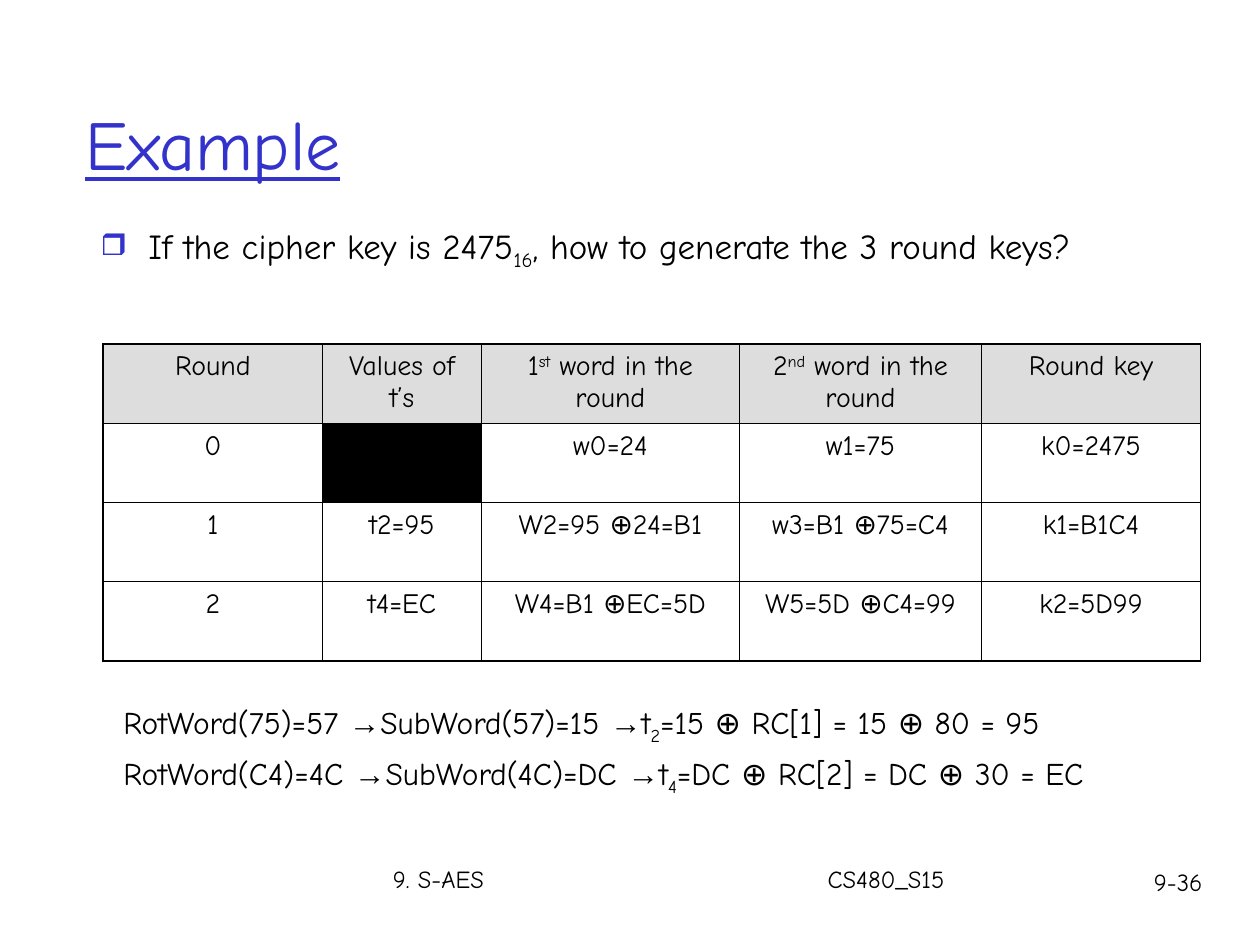
from typing import NamedTuple

import pptx
import pptx.dml.color
import pptx.enum.text
import pptx.oxml
import pptx.oxml.ns
import pptx.util
from pptx.util import Inches

FONT = "Comic Neue"
BLACK, BLUE, GREY = "000000", "3333CC", "DDDDDD"
THICK, THIN = 1.08, 0.45


class Span(NamedTuple):
    text: str
    baseline: int = 0
    font: str = FONT


class TextBox(NamedTuple):
    left: float
    top: float
    width: float
    height: float


ARROW = Span("→", font="Arial")


def color(value: str) -> pptx.dml.color.RGBColor:
    return pptx.dml.color.RGBColor.from_string(value)


def element(xml: str):
    """Parse a DrawingML snippet whose root is written without a namespace."""
    return pptx.oxml.parse_xml(xml.replace(">", f' {pptx.oxml.ns.nsdecls("a")}>', 1)
                               if "/>" not in xml.split(">")[0] + ">"
                               else xml.replace("/>", f' {pptx.oxml.ns.nsdecls("a")}/>', 1))


def write(paragraph, spans, *, size: float, ink: str = BLACK, underline: bool = False,
          centered: bool = False, space_before: float = 0, bullet: str = "",
          tab: float = 0) -> None:
    """Fill a paragraph with a string or a list of strings and spans."""
    properties = paragraph._p.get_or_add_pPr()
    if space_before:
        paragraph.space_before = pptx.util.Pt(space_before)
    if centered:
        paragraph.alignment = pptx.enum.text.PP_ALIGN.CENTER
    if bullet:
        indent = Inches(0.38)
        properties.set("marL", str(indent))
        properties.set("indent", str(-indent))
        for xml in (f'<a:buClr><a:srgbClr val="{BLUE}"/></a:buClr>',
                    '<a:buSzPct val="85000"/>', f'<a:buChar char="{bullet}"/>'):
            properties.append(element(xml))
    if tab:
        properties.append(element(
            f'<a:tabLst><a:tab pos="{Inches(tab)}" algn="l"/></a:tabLst>'))
    for item in [spans] if isinstance(spans, str) else spans:
        span = Span(item) if isinstance(item, str) else item
        run = paragraph.add_run()
        run.text = span.text
        run.font.name = span.font
        run.font.size = pptx.util.Pt(size)
        run.font.color.rgb = color(ink)
        if underline:
            run.font.underline = True
        if span.baseline:
            run._r.get_or_add_rPr().set("baseline", str(span.baseline * 1000))


def add_text(slide, box: TextBox, *lines, middle: bool = False,
             space_before: float = 0, **text_format) -> None:
    shape = slide.shapes.add_textbox(*map(Inches, box))
    frame = shape.text_frame
    frame.word_wrap = True
    if middle:
        frame.vertical_anchor = pptx.enum.text.MSO_ANCHOR.MIDDLE
    for index, spans in enumerate(lines):
        paragraph = frame.add_paragraph() if index else frame.paragraphs[0]
        write(paragraph, spans, space_before=space_before if index else 0, **text_format)


def set_borders(cell, widths: dict[str, float]) -> None:
    """Draw the cell's borders; they must come before its fill in the XML."""
    properties = cell._tc.get_or_add_tcPr()
    for index, (side, width) in enumerate(widths.items()):
        properties.insert(index, element(
            f'<a:ln{side} w="{pptx.util.Pt(width)}"><a:solidFill>'
            f'<a:srgbClr val="{BLACK}"/></a:solidFill></a:ln{side}>'))


def add_key_table(slide) -> None:
    rows = [
        ["Round", "Values of t’s", ["1", Span("st", 30), " word in the round"],
         ["2", Span("nd", 30), " word in the round"], "Round key"],
        ["0", "", "w0=24", "w1=75", "k0=2475"],
        ["1", "t2=95", "W2=95 ⊕24=B1", "w3=B1 ⊕75=C4", "k1=B1C4"],
        ["2", "t4=EC", "W4=B1 ⊕EC=5D", "W5=5D ⊕C4=99", "k2=5D99"],
    ]
    column_widths = [1.74, 1.26, 2.05, 1.92, 1.74]
    last_row, last_column = len(rows) - 1, len(column_widths) - 1
    table = slide.shapes.add_table(
        len(rows), len(column_widths), Inches(0.82), Inches(2.73),
        Inches(sum(column_widths)), Inches(2.51)).table
    table.first_row = table.horz_banding = False
    for column, width in zip(table.columns, column_widths):
        column.width = Inches(width)
    for row_index, row in enumerate(rows):
        for column_index, spans in enumerate(row):
            cell = table.cell(row_index, column_index)
            if row_index == 0 or not spans:
                cell.fill.solid()
                cell.fill.fore_color.rgb = color(BLACK if not spans else GREY)
            else:
                cell.fill.background()
            outer = {"L": column_index == 0, "R": column_index == last_column,
                     "T": row_index == 0, "B": row_index == last_row}
            set_borders(cell, {side: THICK if edge else THIN
                               for side, edge in outer.items()})
            if spans:
                write(cell.text_frame.paragraphs[0], spans, size=16, centered=True)


def derivation(rotation: str, substitution: str, index: str, result: str) -> list:
    return [f"RotWord{rotation} ", ARROW, f"SubWord{substitution} ", ARROW,
            "t", Span(index, -25), result]


def main() -> None:
    presentation = pptx.Presentation()
    presentation.slide_width, presentation.slide_height = Inches(10), Inches(7.5)
    slide = presentation.slides.add_slide(presentation.slide_layouts[6])

    add_text(slide, TextBox(9.06, 6.83, 0.77, 0.34), "9-36", size=14)
    add_text(slide, TextBox(0.58, 0.51, 8.5, 1.24), "Example",
             size=40, ink=BLUE, underline=True, middle=True)
    add_text(slide, TextBox(0.7, 1.73, 7.99, 0.99),
             ["If the cipher key is 2475", Span("16", -25),
              ", how to generate the 3 round keys?"], size=20, bullet="❒")
    add_key_table(slide)
    add_text(slide, TextBox(0.88, 5.53, 8.88, 1.15),
             derivation("(75)=57", "(57)=15", "2", "=15 ⊕ RC[1] = 15 ⊕ 80 = 95"),
             derivation("(C4)=4C", "(4C)=DC", "4", "=DC ⊕ RC[2] = DC ⊕ 30 = EC"),
             size=18, space_before=4.5)
    add_text(slide, TextBox(3.02, 6.81, 5.99, 0.5), "9. S-AES\tCS480_S15",
             size=14, tab=3.45)
    presentation.save("out.pptx")


if __name__ == "__main__":
    main()
